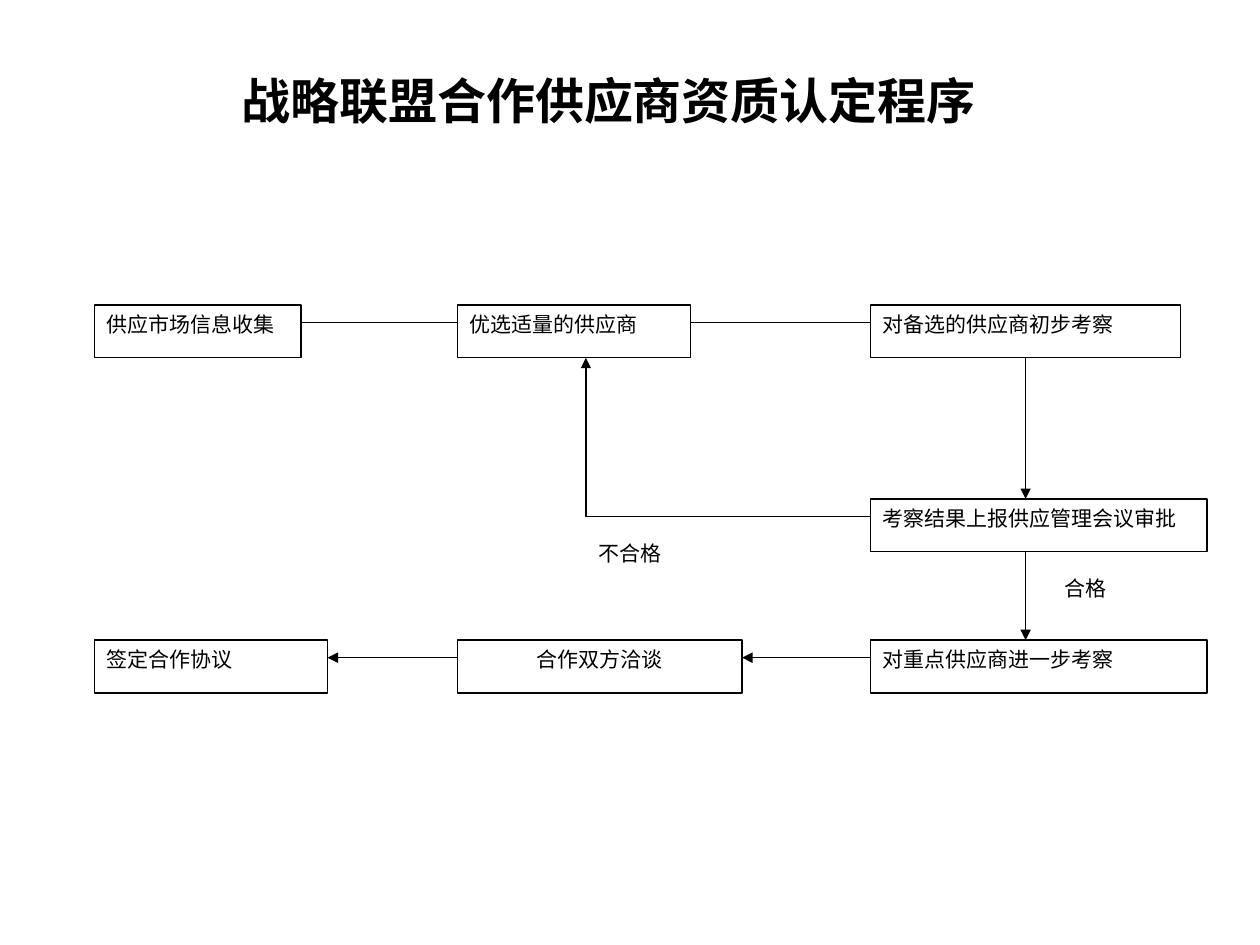
from typing import NamedTuple

from lxml.etree import SubElement
from pptx import Presentation
from pptx.dml.color import RGBColor
from pptx.enum.shapes import MSO_CONNECTOR, MSO_SHAPE
from pptx.enum.text import MSO_ANCHOR, PP_ALIGN
from pptx.oxml.ns import qn
from pptx.util import Inches, Pt

BLACK = RGBColor(0, 0, 0)
WHITE = RGBColor(255, 255, 255)
HAN = "Noto Sans CJK SC"
LATIN = "Times New Roman"

COLS = (0.75, 3.63, 6.91)
ROWS = (2.42, 3.96, 5.08)
HIGH = 0.42
DROP = 0.14  # side lines run this far below a box's top


class Box(NamedTuple):
    text: str
    left: float
    top: float
    width: float
    edge: RGBColor = BLACK
    align: PP_ALIGN = PP_ALIGN.JUSTIFY

    @property
    def right(self) -> float:
        return self.left + self.width

    @property
    def base(self) -> float:
        return self.top + HIGH

    @property
    def rail(self) -> float:
        return self.top + DROP


class Line(NamedTuple):
    start: tuple[float, float]
    end: tuple[float, float]
    arrow: bool = True


GATHER = Box("供应市场信息收集", COLS[0], ROWS[0], 1.64)
SELECT = Box("优选适量的供应商", COLS[1], ROWS[0], 1.85)
SURVEY = Box("对备选的供应商初步考察", COLS[2], ROWS[0], 2.46)
REVIEW = Box("考察结果上报供应管理会议审批", COLS[2], ROWS[1], 2.67)
DETAIL = Box("对重点供应商进一步考察", COLS[2], ROWS[2], 2.67)
TALKS = Box("合作双方洽谈", COLS[1], ROWS[2], 2.26, align=PP_ALIGN.CENTER)
SIGN = Box("签定合作协议", COLS[0], ROWS[2], 1.85)
STEPS = (GATHER, SELECT, SURVEY, REVIEW, DETAIL, TALKS, SIGN)

SPINE = SURVEY.left + SURVEY.width / 2
BACK = 4.65
LABELS = (
    Box("不合格", BACK, REVIEW.top + 2 * DROP, 1.44, WHITE),
    Box("合格", 8.35, REVIEW.base + DROP, 1.03, WHITE),
)


def across(here: Box, there: Box, arrow: bool) -> Line:
    """Level line between the facing sides of two boxes in a row."""
    if here.left < there.left:
        return Line((here.right, here.rail), (there.left, there.rail), arrow)
    return Line((here.left, here.rail), (there.right, there.rail), arrow)


DOWN = Line((SPINE, SURVEY.base), (SPINE, REVIEW.top))
LINES = (
    across(GATHER, SELECT, False),
    across(SELECT, SURVEY, False),
    Line((SPINE, REVIEW.base), (SPINE, DETAIL.top)),
    across(DETAIL, TALKS, True),
    across(TALKS, SIGN, True),
    Line((REVIEW.left, REVIEW.rail), (BACK, REVIEW.rail), False),
    Line((BACK, REVIEW.rail), (BACK, SELECT.base)),
)


def write(frame, text: str, size: int, face: str, align: PP_ALIGN, bold=False) -> None:
    frame.word_wrap = True
    para = frame.paragraphs[0]
    para.text = text
    para.alignment = align
    font = para.font
    font.size, font.name, font.bold = Pt(size), face, bold
    font.color.rgb = BLACK
    base = para._p.pPr.find(qn("a:defRPr"))
    SubElement(base, qn("a:ea")).set("typeface", HAN)


def draw_box(slide, box: Box):
    shape = slide.shapes.add_shape(
        MSO_SHAPE.RECTANGLE,
        *map(Inches, (box.left, box.top, box.width, HIGH)))
    shape.shadow.inherit = False
    shape.fill.solid()
    shape.fill.fore_color.rgb = WHITE
    shape.line.color.rgb = box.edge
    shape.line.width = Pt(0.75)
    shape.text_frame.vertical_anchor = MSO_ANCHOR.TOP
    write(shape.text_frame, box.text, 12, LATIN, box.align)
    return shape


def draw_line(slide, line: Line):
    link = slide.shapes.add_connector(
        MSO_CONNECTOR.STRAIGHT, *map(Inches, line.start + line.end))
    link.line.color.rgb = BLACK
    link.line.width = Pt(0.75)
    if line.arrow:
        tail = SubElement(link.line._get_or_add_ln(), qn("a:tailEnd"))
        tail.set("type", "triangle")
    SubElement(link._element.spPr, qn("a:effectLst"))
    return link


def draw_title(slide, text: str) -> None:
    box = slide.shapes.add_textbox(*map(Inches, (0.58, 0.42, 8.5, 0.75)))
    box.text_frame.vertical_anchor = MSO_ANCHOR.MIDDLE
    write(box.text_frame, text, 28, HAN, PP_ALIGN.CENTER, True)


def main() -> None:
    deck = Presentation()
    deck.slide_width, deck.slide_height = Inches(10), Inches(7.5)
    slide = deck.slides.add_slide(deck.slide_layouts[6])
    draw_title(slide, "战略联盟合作供应商资质认定程序")
    shapes = {step: draw_box(slide, step) for step in STEPS}
    draw_line(slide, DOWN).begin_connect(shapes[SURVEY], 2)
    for line in LINES:
        draw_line(slide, line)
    for label in LABELS:
        draw_box(slide, label)
    deck.save("out.pptx")


if __name__ == "__main__":
    main()
